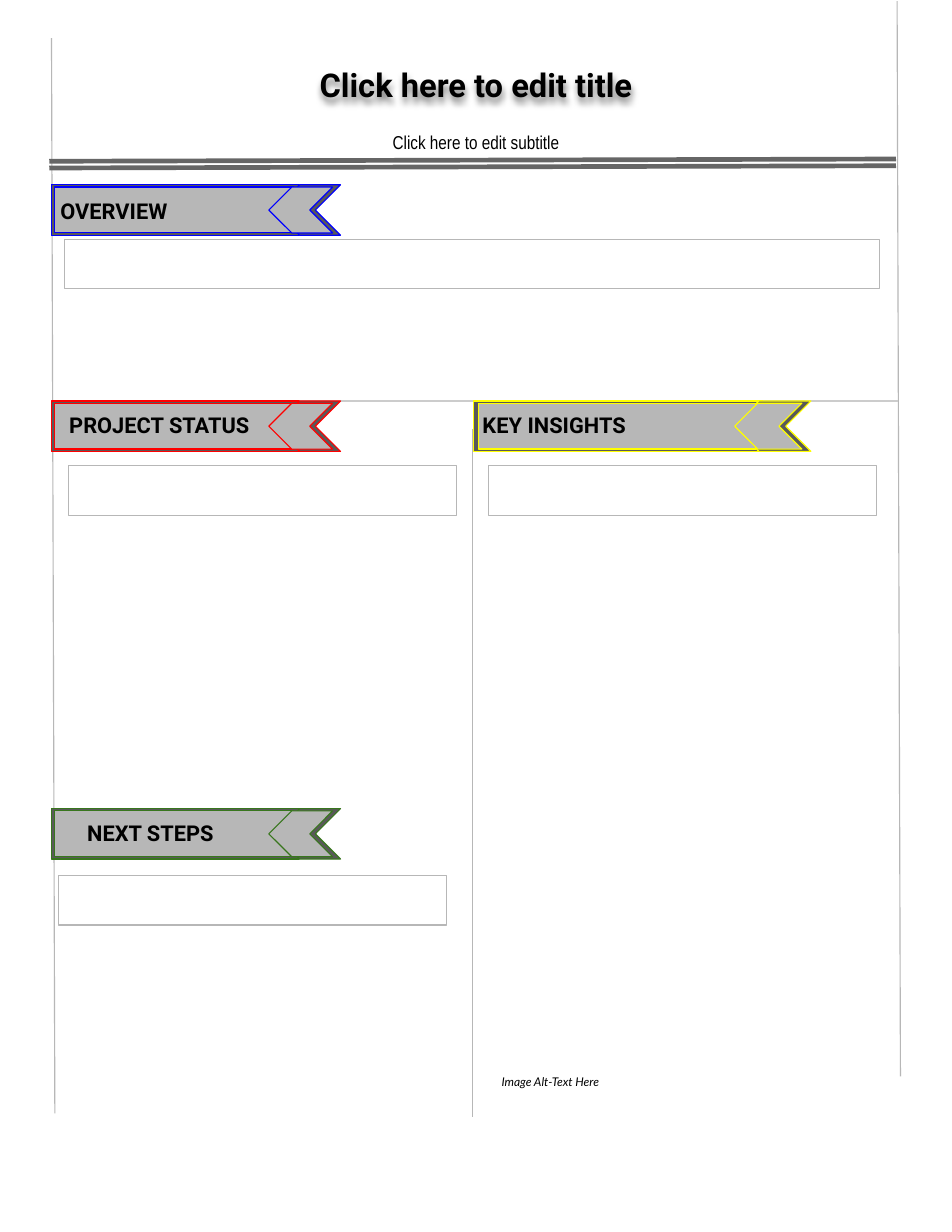
from lxml import etree
from pptx import Presentation
from pptx import util as u
from pptx.dml.color import RGBColor
from pptx.enum import shapes, text
from pptx.oxml import ns

WIDTH, HEIGHT = 8.5, 11
LEFT, MIDDLE, RIGHT = 0.46, 4.22, 8.02
OVERVIEW, UPPER, LOWER = 1.65, 3.58, 7.22
BAND, INSET, FIELD_HEIGHT = 0.45, 0.02, 0.44
DARK, GREY, PALE, BLACK = "595959", "B7B7B7", "CCCCCC", "000000"

TITLE = "Click here to edit title"
SUBTITLE = "Click here to edit subtitle"
CAPTION = "Image Alt-Text Here"

RULES = [
    ((LEFT, 0.34), (0.49, 9.94), GREY, 0.75),
    ((0.44, 1.44), (8, 1.42), "666666", 3),
    ((0.44, 1.5), (8, 1.48), "666666", 3),
    ((8.01, 0.01), (8.04, 9.61), GREY, 0.75),
    ((RIGHT, UPPER), (0.48, UPPER), PALE, 0.75),
    ((MIDDLE, 3.83), (MIDDLE, 9.97), GREY, 0.75),
]
NARROW = [(0, 2.21, 1.99, 0.59, DARK), (0.03, 2.13, 1.94, 0.57, GREY)]
WIDE = [(0, 2.58, 2.32, 0.69, DARK), (0.04, 2.48, 2.33, 0.6, GREY)]
SECTIONS = [
    ("OVERVIEW", LEFT, OVERVIEW, "0000FF", NARROW, (0.44, 1.67, 2.13)),
    ("PROJECT STATUS", LEFT, UPPER, "FF0000", NARROW, (0.52, UPPER, 1.97)),
    ("KEY INSIGHTS", 4.23, UPPER, "FFFF00", WIDE, (4.21, UPPER, 1.83)),
    ("NEXT STEPS", LEFT, LOWER, "38761D", NARROW, (0.68, LOWER, 2.13)),
]
FIELDS = [(0.58, 2.14, 7.27), (0.61, 4.16, 3.47),
          (4.36, 4.16, 3.47), (0.52, 7.82, 3.47)]


def color(value):
    return RGBColor.from_string(value)


def inches(*values):
    return [u.Inches(value) for value in values]


def add_block(kind, box, fill, line):
    block = slide.shapes.add_shape(kind, *inches(*box))
    block.shadow.inherit = False
    if fill:
        block.fill.solid()
        block.fill.fore_color.rgb = color(fill)
    else:
        block.fill.background()
    block.line.color.rgb = color(line)
    block.line.width = u.Pt(0.75)
    return block


def add_rule(start, end, line, weight):
    rule = slide.shapes.add_connector(
        shapes.MSO_CONNECTOR.STRAIGHT, *inches(*start, *end))
    rule.line.color.rgb = color(line)
    rule.line.width = u.Pt(weight)
    etree.SubElement(rule._element.spPr, ns.qn("a:effectLst"))


def add_ribbon(left, top, accent, layers):
    for level, (offset, body, notch, tail, fill) in enumerate(layers):
        y, height = top + level * INSET, BAND - level * 2 * INSET
        add_block(shapes.MSO_SHAPE.RECTANGLE,
                  (left + offset, y, body, height), fill, accent)
        end = add_block(shapes.MSO_SHAPE.CHEVRON,
                        (left + notch, y, tail, height), fill, accent)
        end.rotation = 180


def write(holder, box, words, font, size, bold=False, italic=False,
          align=text.PP_ALIGN.LEFT, spacing=1, after=0):
    holder.left, holder.top, holder.width, holder.height = inches(*box)
    frame = holder.text_frame
    frame.text = words
    frame.word_wrap = True
    frame.auto_size = text.MSO_AUTO_SIZE.NONE
    frame.vertical_anchor = text.MSO_ANCHOR.TOP
    frame.margin_left = frame.margin_right = u.Inches(0.1)
    frame.margin_top = frame.margin_bottom = u.Inches(0.1)
    paragraph = frame.paragraphs[0]
    paragraph.alignment = align
    paragraph.line_spacing = spacing
    paragraph.space_before, paragraph.space_after = u.Pt(0), u.Pt(after)
    paragraph.font.name, paragraph.font.size = font, u.Pt(size)
    paragraph.font.bold, paragraph.font.italic = bold, italic
    paragraph.font.color.rgb = color(BLACK)


def add_text(box, *args, **kwargs):
    write(slide.shapes.add_textbox(*inches(*box)), box, *args, **kwargs)


def add_soft_shadow(holder):
    effects = etree.SubElement(holder._element.spPr, ns.qn("a:effectLst"))
    shadow = etree.SubElement(effects, ns.qn("a:outerShdw"), blurRad="57150",
                              dist="38100", dir="5400000", rotWithShape="0")
    tone = etree.SubElement(shadow, ns.qn("a:srgbClr"), val=BLACK)
    etree.SubElement(tone, ns.qn("a:alpha"), val="50000")


deck = Presentation()
deck.slide_width, deck.slide_height = inches(WIDTH, HEIGHT)
slide = deck.slides.add_slide(deck.slide_layouts[0])

for rule in RULES:
    add_rule(*rule)
for name, left, top, accent, layers, (x, y, width) in SECTIONS:
    add_ribbon(left, top, accent, layers)
    add_text((x, y, width, FIELD_HEIGHT), name, "Roboto", 14, bold=True)

heading, subheading = slide.placeholders
write(heading, (0.17, 0.48, 8.16, 0.56), TITLE, "Roboto", 21, bold=True,
      align=text.PP_ALIGN.CENTER)
add_soft_shadow(heading)
write(subheading, (1.93, 1.04, 4.64, 0.4), SUBTITLE, "Arial Narrow", 12,
      align=text.PP_ALIGN.CENTER, spacing=1.15, after=12)
add_text((4.38, 9.51, 3.47, 0.31), CAPTION, "Lato", 7.7, italic=True,
         spacing=0.85)

for x, y, width in FIELDS:
    add_block(shapes.MSO_SHAPE.RECTANGLE, (x, y, width, FIELD_HEIGHT),
              None, GREY)

deck.save("out.pptx")
